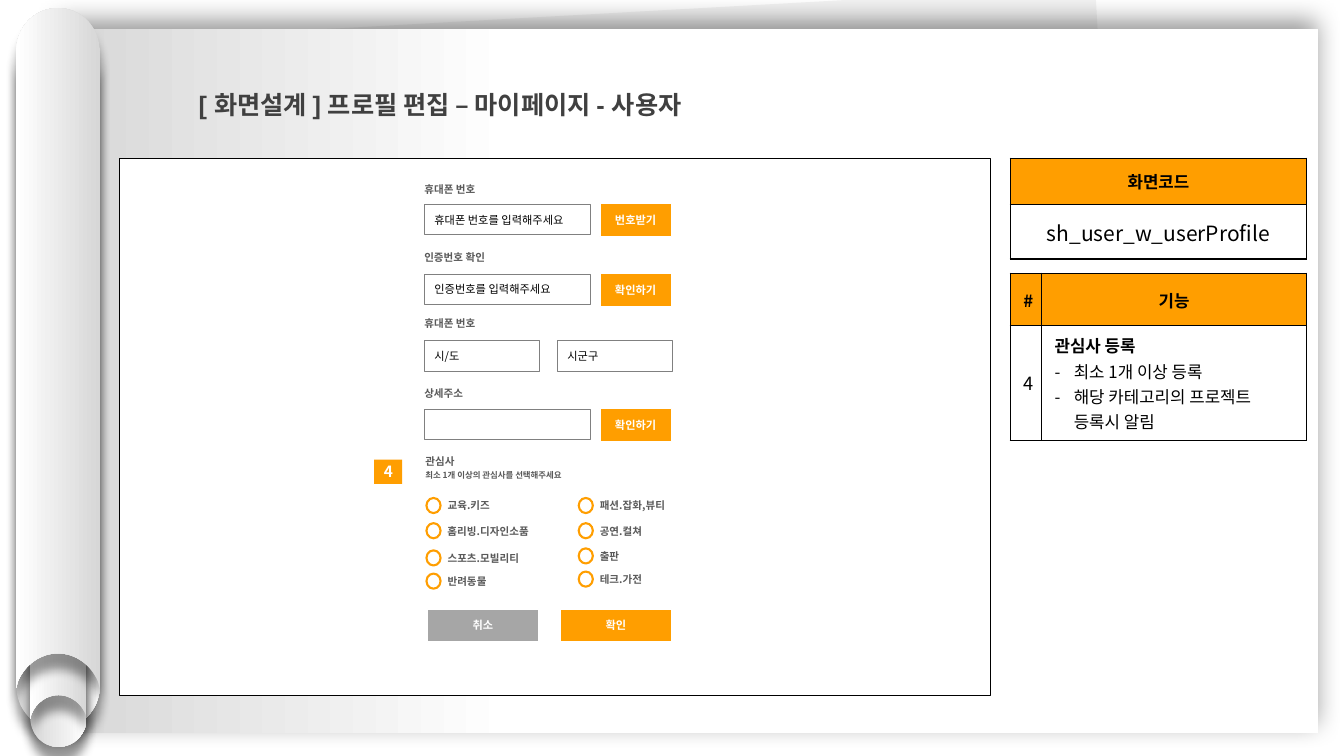
import pptx
import pptx.dml.color
import pptx.enum.shapes
import pptx.enum.text
import pptx.oxml.ns
import pptx.util
from lxml import etree

PX = 9144  # EMU per px, 100 px to the inch
FONT = "Noto Sans CJK KR"
COLORS = {
    "orange": "FF9E00", "white": "FFFFFF", "black": "000000", "label": "595959",
    "title": "404040", "edge": "808080", "cancel": "A6A6A6", "paper": "F2F2F2",
    "shade": "D7D7D7",
}
RECT = pptx.enum.shapes.MSO_SHAPE.RECTANGLE
OVAL = pptx.enum.shapes.MSO_SHAPE.OVAL
LEFT = pptx.enum.text.PP_ALIGN.LEFT
CENTER = pptx.enum.text.PP_ALIGN.CENTER
MIDDLE = pptx.enum.text.MSO_ANCHOR.MIDDLE
TOP = pptx.enum.text.MSO_ANCHOR.TOP


def rgb(name):
    return pptx.dml.color.RGBColor.from_string(COLORS[name])


def child(parent, tag, **attributes):
    return etree.SubElement(parent, pptx.oxml.ns.qn(tag), **attributes)


def bend(segments):
    """Turn three straight segments into one cubic curve."""
    curve = etree.Element(pptx.oxml.ns.qn("a:cubicBezTo"))
    segments[0].addprevious(curve)
    for segment in segments:
        curve.append(segment[0])
        segment.getparent().remove(segment)


class Screen:
    def __init__(self, slide):
        self.slide = slide
        self.shapes = slide.shapes

    def start_group(self):
        self.shapes = self.slide.shapes.add_group_shape().shapes

    def end_group(self):
        self.shapes = self.slide.shapes

    def run(self, paragraph, text, size, color, bold=False, font=FONT):
        run = paragraph.add_run()
        run.text = text
        run.font.size = pptx.util.Pt(size)
        run.font.bold = bold
        run.font.color.rgb = rgb(color)
        run.font.name = font
        run.font._element.set("kern", "0")
        child(run.font._element, "a:ea", typeface=FONT)

    def paint(self, shape, fill, line=None, weight=1):
        shape.shadow.inherit = False
        shape.fill.solid()
        shape.fill.fore_color.rgb = rgb(fill)
        if line:
            shape.line.color.rgb = rgb(line)
            shape.line.width = pptx.util.Pt(weight)
        else:
            shape.line.fill.background()

    def shade(self, shape, stops, blur, distance, direction):
        """Fill with a right-to-left gradient and cast a soft black shadow."""
        self.paint(shape, "white")
        shape.fill.gradient()
        shape.fill.gradient_angle = 180
        for stop, (position, color) in zip(shape.fill.gradient_stops, stops):
            stop.position = position
            stop.color.rgb = rgb(color)
        effects = shape._element.spPr.find(pptx.oxml.ns.qn("a:effectLst"))
        outer = child(effects, "a:outerShdw", blurRad=str(blur * 12700),
                      dist=str(distance * 12700), dir=str(direction * 60000),
                      algn="ctr", rotWithShape="0")
        child(child(outer, "a:srgbClr", val=COLORS["black"]), "a:alpha", val="40000")

    def box(self, x, y, w, h, fill="white", line=None, weight=1, kind=RECT):
        shape = self.shapes.add_shape(kind, x * PX, y * PX, w * PX, h * PX)
        self.paint(shape, fill, line, weight)
        return shape

    def text_in(self, shape, text, size, color, bold=False, align=LEFT):
        shape.text_frame.vertical_anchor = MIDDLE
        paragraph = shape.text_frame.paragraphs[0]
        paragraph.alignment = align
        self.run(paragraph, text, size, color, bold)

    def label(self, x, y, w, h, text, size=7.5):
        self.text_in(self.box(x, y, w, h, line="white"), text, size, "label", True)

    def field(self, x, y, w, text):
        box = self.box(x, y, w, 30, line="edge", weight=0.5)
        if text:
            self.text_in(box, text, 8, "black")

    def button(self, x, y, w, text, fill="orange"):
        self.text_in(self.box(x, y, w, 33, fill, "white"), text, 8, "white", True, CENTER)

    def option(self, x, label_y, ring_y, w, h, text):
        self.start_group()
        self.label(x + 11, label_y, w, h, text)
        self.box(x, ring_y, 14, 15, line="orange", weight=1.5, kind=OVAL)
        self.end_group()

    def tube(self, x, y, w, h, rotation):
        """Draw a roll with a round top and a matching notch at its foot."""
        outline = [(0.5, 0), (0.78, 0), (1, 0.23), (1, 0.52), (1, h / w),
                   (0.98, h / w - 0.08), (0.9, h / w - 0.28), (0.71, h / w - 0.42),
                   (0.5, h / w - 0.42), (0.29, h / w - 0.42), (0.1, h / w - 0.28),
                   (0.02, h / w - 0.08), (0, h / w), (0, 0.52), (0, 0.23), (0.22, 0), (0.5, 0)]
        points = [((x + w * across) * PX, (y + w * down) * PX) for across, down in outline]
        builder = self.shapes.build_freeform(*points[0])
        builder.add_line_segments(points[1:], close=True)
        shape = builder.convert_to_shape()
        lines = list(shape._element.iter(pptx.oxml.ns.qn("a:lnTo")))
        for first in (0, 5, 8, 13):
            bend(lines[first:first + 3])
        shape.rotation = rotation
        self.shade(shape, [(0, "shade"), (1, "white")], 7, 11, 90)

    def title(self, x, y, w, h, text):
        frame = self.shapes.add_textbox(x * PX, y * PX, w * PX, h * PX).text_frame
        frame.word_wrap = True
        frame.auto_size = pptx.enum.text.MSO_AUTO_SIZE.SHAPE_TO_FIT_TEXT
        frame.margin_left = frame.margin_right = 7 * PX
        frame.margin_top = frame.margin_bottom = 4 * PX
        frame.paragraphs[0].line_spacing = 1.5
        self.run(frame.paragraphs[0], text, 18, "title", True, "Arial")

    def table(self, x, y, widths, heights):
        table = self.shapes.add_table(len(heights), len(widths), x * PX, y * PX,
                                      sum(widths) * PX, sum(heights) * PX).table
        for column, width in zip(table.columns, widths):
            column.width = width * PX
        for row, height in zip(table.rows, heights):
            row.height = height * PX
        return table

    def cell(self, cell, lines, fill="white", align=CENTER, anchor=MIDDLE, spacing=None):
        """Fill one cell; each line is (text, size, bold, bulleted)."""
        cell.vertical_anchor = anchor
        cell.margin_left = cell.margin_right = 13 * PX
        cell.margin_top = cell.margin_bottom = 7 * PX
        frame = cell.text_frame
        for index, (text, size, bold, bulleted) in enumerate(lines):
            paragraph = frame.add_paragraph() if index else frame.paragraphs[0]
            paragraph.alignment = align
            if spacing:
                paragraph.line_spacing = pptx.util.Pt(spacing)
            if bulleted:
                properties = paragraph._p.get_or_add_pPr()
                properties.set("marL", str(19 * PX))
                properties.set("indent", str(-19 * PX))
                child(properties, "a:buFont", typeface=FONT)
                child(properties, "a:buChar", char="-")
            self.run(paragraph, text, size, "black", bold)
        properties = cell._tc.get_or_add_tcPr()
        for side in ("a:lnL", "a:lnR", "a:lnT", "a:lnB"):
            border = child(properties, side, w="12700")
            child(child(border, "a:solidFill"), "a:srgbClr", val=COLORS["black"])
        cell.fill.solid()
        cell.fill.fore_color.rgb = rgb(fill)


def main():
    deck = pptx.Presentation()
    deck.slide_width, deck.slide_height = 1333 * PX, 750 * PX
    screen = Screen(deck.slides.add_slide(deck.slide_layouts[6]))

    screen.box(91, 14, 1015, 680, "paper").rotation = 356.8
    sheet = screen.box(58, 29, 1249, 698)
    screen.shade(sheet, [(0.64, "white"), (1, "shade")], 18, 6, 270)
    screen.start_group()
    for tube in [(16, 48, 83, 675, 180), (30, 288, 56, 453, 180),
                 (30, 261, 56, 452, 0), (16, 8, 83, 675, 0)]:
        screen.tube(*tube)
    screen.end_group()

    code = screen.table(1002, 157, [294], [46, 54])
    screen.cell(code.cell(0, 0), [("화면코드", 12, True, False)], "orange")
    screen.cell(code.cell(1, 0), [("sh_user_w_userProfile", 15, False, False)])
    screen.box(119, 157, 863, 533, line="black", weight=0.75)
    features = screen.table(1002, 271, [31, 263], [52, 113])
    for column, heading in enumerate(["#", "기능"]):
        screen.cell(features.cell(0, column), [(heading, 12, True, False)], "orange", spacing=18)
    screen.cell(features.cell(1, 0), [("4", 13, False, False)], spacing=18)
    screen.cell(features.cell(1, 1), [
        ("관심사 등록", 12, True, False),
        ("최소 1개 이상 등록", 12, False, True),
        ("해당 카테고리의 프로젝트 등록시 알림", 12, False, True),
    ], align=LEFT, anchor=TOP, spacing=18)

    for y, w, h, text in [(180, 78, 15, "휴대폰 번호"), (250, 87, 11, "인증번호 확인"),
                          (313, 78, 15, "휴대폰 번호"), (385, 87, 11, "상세주소")]:
        screen.label(411, y, w, h, text)
    for y, hint, action in [(203, "휴대폰 번호를 입력해주세요", "번호받기"),
                            (272, "인증번호를 입력해주세요", "확인하기"),
                            (406, "", "확인하기")]:
        screen.field(421, y, 165, hint)
        screen.button(595, y - 1, 71, action)
    for x, region in [(421, "시/도"), (553, "시군구")]:
        screen.field(x, 338, 114, region)

    screen.label(412, 452, 87, 11, "관심사")
    screen.label(412, 466, 220, 11, "최소 1개 이상의 관심사를 선택해주세요", 6)
    for option in [
        (423, 496, 494, 75, 11, "교육.키즈"), (574, 496, 494, 98, 11, "패션.잡화,뷰티"),
        (423, 522, 519, 116, 11, "홈리빙.디자인소품"), (574, 522, 519, 75, 11, "공연.컬쳐"),
        (423, 547, 546, 108, 13, "스포츠.모빌리티"), (574, 546, 544, 121, 11, "출판"),
        (423, 571, 569, 108, 11, "반려동물"), (574, 569, 567, 75, 11, "테크.가전"),
    ]:
        screen.option(*option)
    screen.button(424, 604, 110, "취소", "cancel")
    screen.button(556, 604, 110, "확인")
    screen.text_in(screen.box(371, 456, 28, 24, "orange"), "4", 11, "white", True, CENTER)
    screen.title(190, 70, 721, 53, "[ 화면설계 ] 프로필 편집 – 마이페이지 - 사용자")
    deck.save("out.pptx")


if __name__ == "__main__":
    main()
